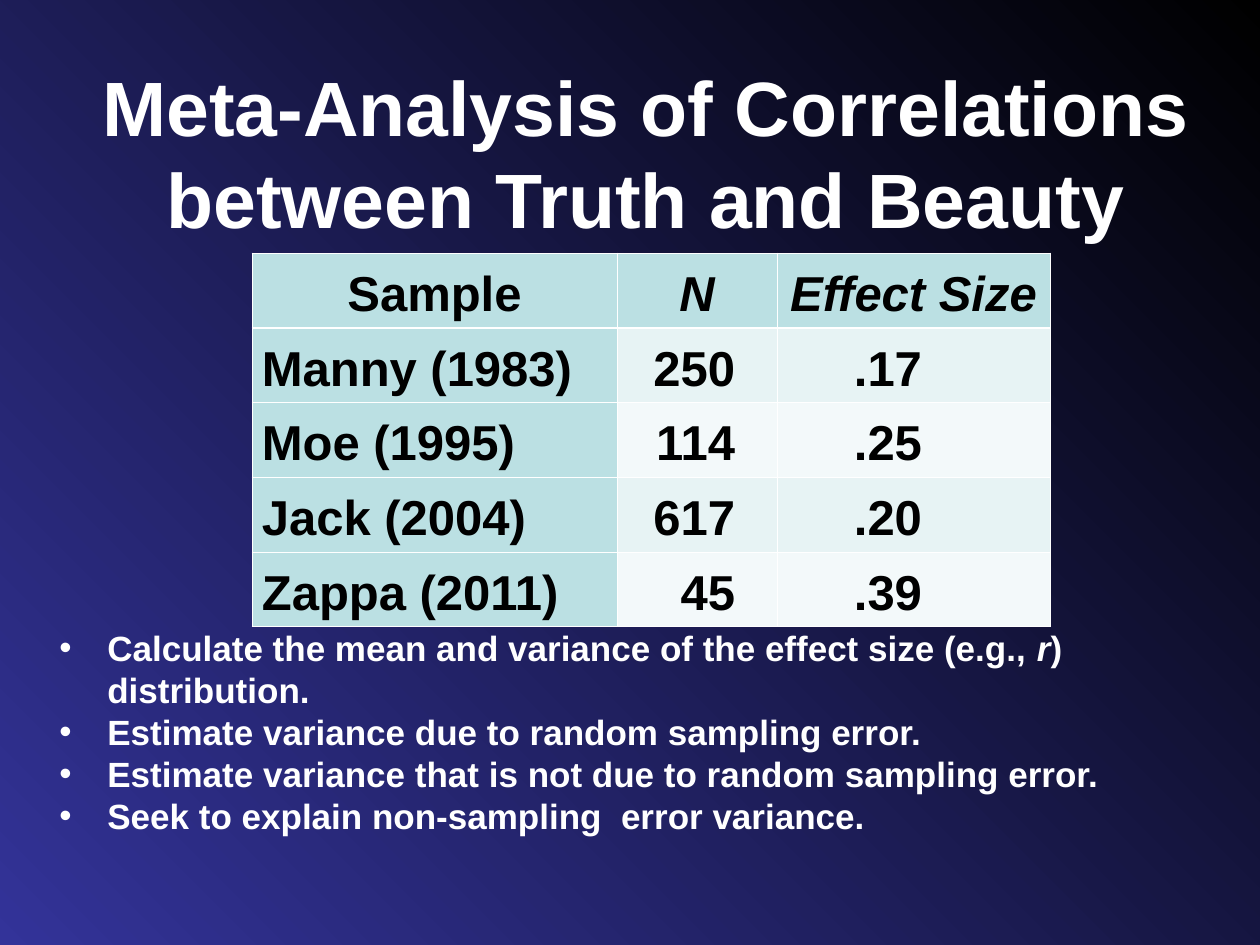
import pptx
import pptx.util
import pptx.dml.color
import pptx.enum.text
import pptx.oxml
import pptx.oxml.ns

HUES = {"blue": "333399", "black": "000000", "white": "FFFFFF",
        "teal": "BBE0E3", "pale": "E7F3F4", "ice": "F3F9FA"}
FONT = "Arial"
TITLE = "Meta-Analysis of Correlations between Truth and Beauty"
HEADS = [("Sample", False), ("N", True), ("Effect Size", True)]
ROWS = [
    ("Manny (1983)", "250", ".17"),
    ("Moe (1995)", "114", ".25"),
    ("Jack (2004)", "617", ".20"),
    ("Zappa (2011)", "45", ".39"),
]
STEPS = [
    [("Calculate the mean and variance of the effect size (e.g., ", False),
     ("r", True), (") distribution.", False)],
    [("Estimate variance due to random sampling error.", False)],
    [("Estimate variance that is not due to random sampling error.", False)],
    [("Seek to explain non-sampling  error variance.", False)],
]
WIDTHS = [365, 160, 273]
TALL = [73] + [68] * len(ROWS)
PADS = [10, 42, 128]
INDENT = 48

Align = pptx.enum.text.PP_ALIGN
Anchor = pptx.enum.text.MSO_ANCHOR
NS = pptx.oxml.ns.nsdecls("a")


def px(n):
    return pptx.util.Emu(n * 914400 // 126)


def rgb(name):
    return pptx.dml.color.RGBColor.from_string(HUES[name])


def put(par, text, size, hue, slant=False):
    run = par.add_run()
    run.text = text
    font = run.font
    font.name, font.size = FONT, pptx.util.Pt(size)
    font.bold, font.italic = True, slant
    font.color.rgb = rgb(hue)


def edge(cell, side, width):
    return pptx.oxml.parse_xml(
        f'<a:{side} {NS} w="{pptx.util.Pt(width)}"><a:solidFill>'
        f'<a:srgbClr val="{HUES["white"]}"/></a:solidFill></a:{side}>')


def dress(cell, row, col):
    heavy = {(0, "lnB"), (1, "lnT")}
    props = cell._tc.get_or_add_tcPr()
    for i, side in enumerate(("lnL", "lnR", "lnT", "lnB")):
        width = 1.47 if (row, side) in heavy else 0.45
        props.insert(i, edge(cell, side, width))
    cell.fill.solid()
    band = "pale" if row % 2 else "ice"
    cell.fill.fore_color.rgb = rgb("teal" if row == 0 or col == 0 else band)
    cell.margin_left = px(10)
    cell.margin_right = px(PADS[col] if row else 10)
    cell.margin_top = cell.margin_bottom = px(6)
    cell.vertical_anchor = Anchor.TOP if row else Anchor.MIDDLE


def add_title(slide):
    box = slide.shapes.title
    box.left, box.top, box.width, box.height = map(px, (89, 73, 1114, 158))
    frame = box.text_frame
    frame.auto_size = pptx.enum.text.MSO_AUTO_SIZE.NONE
    frame.vertical_anchor = Anchor.MIDDLE
    par = frame.paragraphs[0]
    par.alignment = Align.CENTER
    put(par, TITLE, 44, "white")


def add_grid(slide):
    grid = slide.shapes.add_table(
        len(TALL), len(WIDTHS), px(252), px(253),
        px(sum(WIDTHS)), px(sum(TALL))).table
    for col, width in zip(grid.columns, WIDTHS):
        col.width = px(width)
    for row, height in zip(grid.rows, TALL):
        row.height = px(height)
    body = [[(text, False) for text in row] for row in ROWS]
    for r, row in enumerate([HEADS] + body):
        for c, (text, slant) in enumerate(row):
            cell = grid.cell(r, c)
            dress(cell, r, c)
            par = cell.text_frame.paragraphs[0]
            par.line_spacing = 1.15
            side = Align.RIGHT if c else Align.LEFT
            par.alignment = side if r else Align.CENTER
            put(par, text, 28, "black", slant)


def add_steps(slide):
    box = slide.shapes.add_textbox(*map(px, (47, 620, 1200, 265)))
    frame = box.text_frame
    frame.word_wrap = True
    for i, step in enumerate(STEPS):
        par = frame.add_paragraph() if i else frame.paragraphs[0]
        props = par._p.get_or_add_pPr()
        props.set("marL", str(px(INDENT)))
        props.set("indent", str(-px(INDENT)))
        for part in (
            f'<a:buClr {NS}><a:srgbClr val="{HUES["white"]}"/></a:buClr>',
            f'<a:buFont {NS} typeface="{FONT}"/>',
            f'<a:buChar {NS} char="•"/>',
        ):
            props.append(pptx.oxml.parse_xml(part))
        for text, slant in step:
            put(par, text, 20, "white", slant)


def main():
    deck = pptx.Presentation()
    deck.slide_width, deck.slide_height = px(1260), px(945)
    slide = deck.slides.add_slide(deck.slide_layouts[5])
    fill = slide.background.fill
    fill.gradient()
    fill.gradient_angle = 45
    for stop, hue in zip(fill.gradient_stops, ("blue", "black")):
        stop.color.rgb = rgb(hue)
    add_title(slide)
    add_grid(slide)
    add_steps(slide)
    deck.save("out.pptx")


if __name__ == "__main__":
    main()
